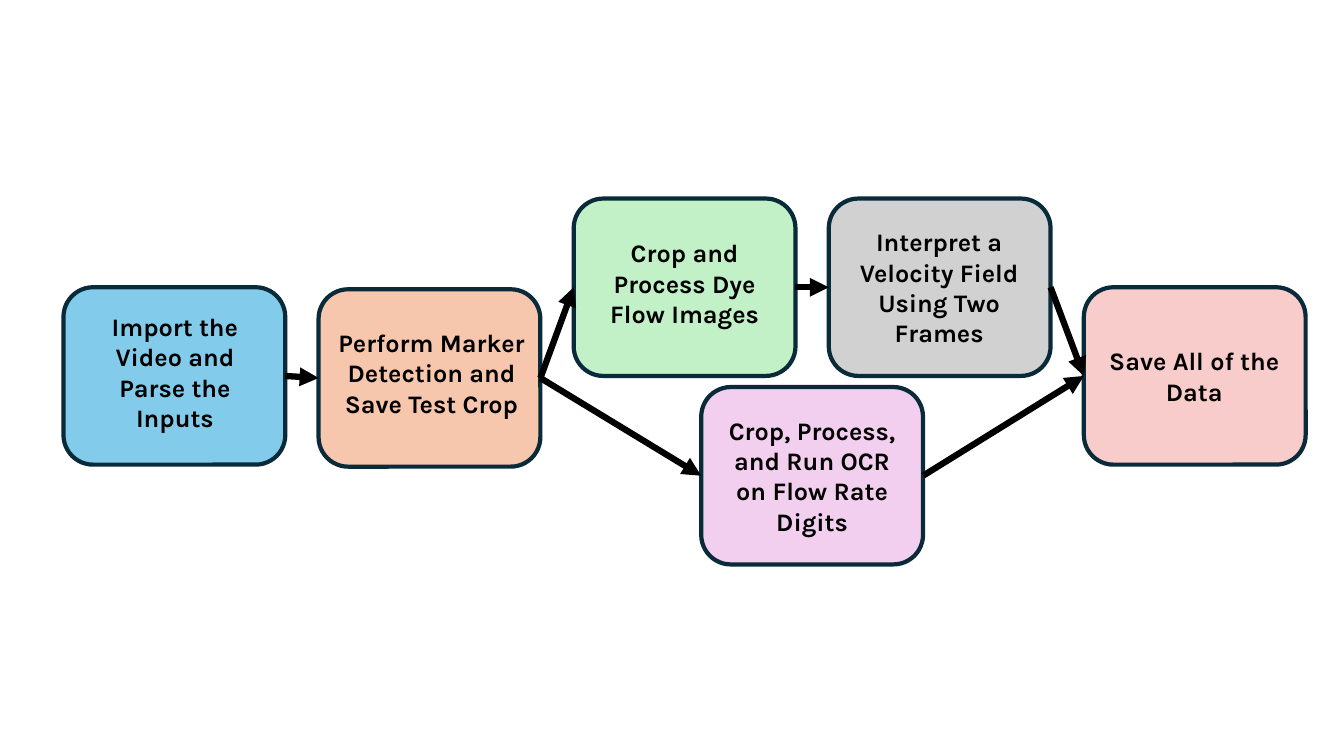
"""Build a flow chart of the video processing steps."""
import pptx
import pptx.util
import pptx.dml.color
import pptx.enum.shapes
import pptx.enum.text
from lxml import etree

Inches, Pt = pptx.util.Inches, pptx.util.Pt
RGBColor = pptx.dml.color.RGBColor
Shape = pptx.enum.shapes.MSO_SHAPE
Link = pptx.enum.shapes.MSO_CONNECTOR

BLACK = RGBColor(0x00, 0x00, 0x00)
NAVY = RGBColor(0x09, 0x2A, 0x39)
BLUE = RGBColor(0x83, 0xCB, 0xEB)
PEACH = RGBColor(0xF6, 0xC6, 0xAD)
GREEN = RGBColor(0xC2, 0xF1, 0xC8)
PINK = RGBColor(0xF2, 0xCF, 0xEE)
GRAY = RGBColor(0xD1, 0xD1, 0xD1)
ROSE = RGBColor(0xF7, 0xCC, 0xCB)

WIDE, HIGH = 2.2, 1.76
LEFT, STEP = 0.63, 2.53
LEFT_SITE, RIGHT_SITE = 1, 3

# key: column, top, fill, words, text area (left, top, width, height)
STEPS = {
    "import": (0, 2.85, BLUE, "Import the Video and Parse the Inputs",
               (0.88, 3.04, 1.71, 1.31)),
    "detect": (1, 2.87, PEACH, "Perform Marker Detection and Save Test Crop",
               (3.22, 3.2, 2.12, 1.01)),
    "dye": (2, 1.97, GREEN, "Crop and Process Dye Flow Images",
            (5.73, 2.31, 2.12, 1.01)),
    "digits": (2.5, 3.84, PINK, "Crop, Process, and Run OCR on Flow Rate Digits",
               (7.07, 4.07, 1.97, 1.31)),
    "field": (3, 1.97, GRAY, "Interpret a Velocity Field Using Two Frames",
              (8.33, 2.2, 1.97, 1.31)),
    "save": (4, 2.85, ROSE, "Save All of the Data",
             (10.86, 3.38, 1.97, 0.71)),
}
FLOWS = [
    ("import", "detect"),
    ("detect", "dye"),
    ("detect", "digits"),
    ("digits", "save"),
    ("field", "save"),
    ("dye", "field"),
]


def add_box(slide, col, top, fill):
    """Add one rounded box and return it."""
    box = slide.shapes.add_shape(
        Shape.ROUNDED_RECTANGLE, Inches(LEFT + col * STEP), Inches(top),
        Inches(WIDE), Inches(HIGH))
    box.shadow.inherit = False
    box.fill.solid()
    box.fill.fore_color.rgb = fill
    box.line.color.rgb = NAVY
    box.line.width = Pt(3)
    return box


def add_words(slide, words, area):
    """Add the centred bold text of one step."""
    frame = slide.shapes.add_textbox(*map(Inches, area)).text_frame
    frame.word_wrap = True
    frame.auto_size = pptx.enum.text.MSO_AUTO_SIZE.SHAPE_TO_FIT_TEXT
    para = frame.paragraphs[0]
    para.alignment = pptx.enum.text.PP_ALIGN.CENTER
    run = para.add_run()
    run.text = words
    run.font.name = "Karla"
    run.font.size = Pt(18)
    run.font.bold = True
    run.font.color.rgb = BLACK


def add_arrow(slide, start, end):
    """Join the right side of one box to the left side of another."""
    arrow = slide.shapes.add_connector(Link.STRAIGHT, 0, 0, 0, 0)
    arrow.begin_connect(start, RIGHT_SITE)
    arrow.end_connect(end, LEFT_SITE)
    arrow.line.color.rgb = BLACK
    arrow.line.width = Pt(4.5)
    qn = pptx.oxml.ns.qn
    line = arrow.line._get_or_add_ln()
    etree.SubElement(line, qn("a:tailEnd"), type="triangle")
    etree.SubElement(arrow._element.spPr, qn("a:effectLst"))


def main():
    """Draw the boxes, their text and the arrows, then save."""
    deck = pptx.Presentation()
    deck.slide_width, deck.slide_height = Inches(13.33), Inches(7.5)
    slide = deck.slides.add_slide(deck.slide_layouts[6])
    boxes = {}
    for key, (col, top, fill, words, area) in STEPS.items():
        boxes[key] = add_box(slide, col, top, fill)
        add_words(slide, words, area)
    for start, end in FLOWS:
        add_arrow(slide, boxes[start], boxes[end])
    deck.save("out.pptx")


if __name__ == "__main__":
    main()
